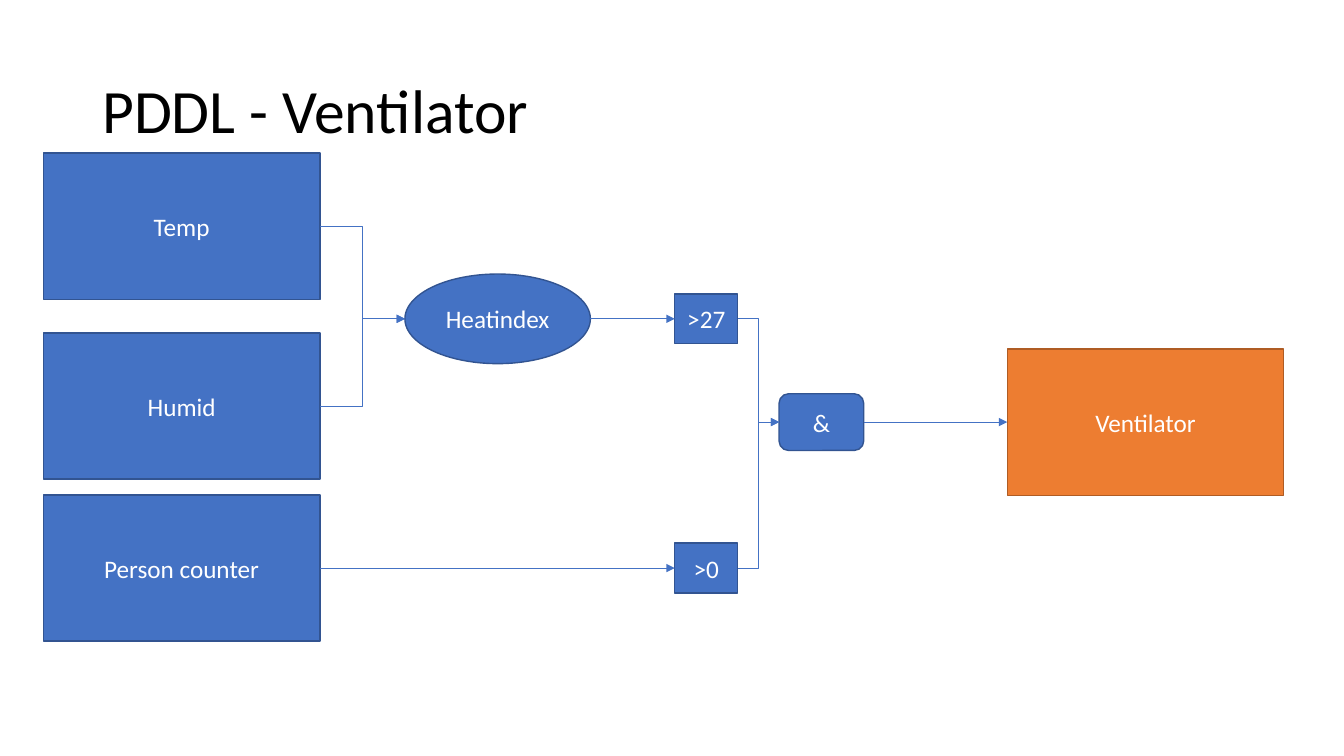
from lxml.etree import SubElement
from pptx import Presentation
from pptx.dml.color import RGBColor
from pptx.enum.shapes import MSO_CONNECTOR as Link, MSO_SHAPE as Form
from pptx.enum.text import MSO_ANCHOR as Anchor, PP_ALIGN as Align
from pptx.oxml.ns import qn
from pptx.util import Pt

BLUE, NAVY = "4472C4", "325491"
ORANGE, RUST = "ED7D31", "AF5C24"
WHITE, BLACK = "FFFFFF", "000000"
LARGE, SMALL = (197.5, 104.5), (45, 35.5)
OVAL, GATE = (132.5, 64), (60.5, 40.5)


def color(code):
    """Turn a hex string into a colour."""
    return RGBColor.from_string(code)


def write(shape, text, size=18, ink=WHITE, align=Align.CENTER, space=1.0):
    """Put formatted text into a shape, centred vertically."""
    frame = shape.text_frame
    frame.word_wrap = True
    frame.vertical_anchor = Anchor.MIDDLE
    para = frame.paragraphs[0]
    para.alignment = align
    para.line_spacing = space
    run = para.add_run()
    run.text = text
    run.font.name = "Calibri"
    run.font.size = Pt(size)
    run.font.color.rgb = color(ink)


def title(slide, text):
    """Add the slide title."""
    box = slide.shapes.add_textbox(Pt(66), Pt(28.75), Pt(828), Pt(104.5))
    write(box, text, size=44, ink=BLACK, align=Align.LEFT, space=0.9)


def node(slide, text, left, mid, size, form=Form.RECTANGLE, fill=BLUE, edge=NAVY):
    """Add a labelled node whose vertical centre is at mid."""
    width, height = size
    shape = slide.shapes.add_shape(
        form, Pt(left), Pt(mid - height / 2), Pt(width), Pt(height))
    shape.shadow.inherit = False
    shape.fill.solid()
    shape.fill.fore_color.rgb = color(fill)
    shape.line.color.rgb = color(edge)
    shape.line.width = Pt(1)
    write(shape, text)
    return shape


def arrow(slide, start, end, kind=Link.STRAIGHT):
    """Draw an arrow from the right side of one node to the left of another."""
    line = slide.shapes.add_connector(
        kind, start.left + start.width, start.top + start.height // 2,
        end.left, end.top + end.height // 2)
    line.line.color.rgb = color(BLUE)
    line.line.width = Pt(0.5)
    SubElement(line.line._get_or_add_ln(), qn("a:tailEnd"), type="triangle")
    SubElement(line._element.spPr, qn("a:effectLst"))


def main():
    """Build the ventilator rule diagram."""
    deck = Presentation()
    deck.slide_width, deck.slide_height = Pt(960), Pt(540)
    slide = deck.slides.add_slide(deck.slide_layouts[6])

    title(slide, "PDDL - Ventilator")
    temp = node(slide, "Temp", 31, 161.5, LARGE)
    humid = node(slide, "Humid", 31, 290, LARGE)
    person = node(slide, "Person counter", 31, 405.75, LARGE)
    heat = node(slide, "Heatindex", 289.25, 227.75, OVAL, form=Form.OVAL)
    warm = node(slide, ">27", 482, 227.75, SMALL)
    some = node(slide, ">0", 482, 405.75, SMALL)
    both = node(slide, "&", 556.5, 301.5, GATE, form=Form.ROUNDED_RECTANGLE)
    fan = node(slide, "Ventilator", 719.5, 301.5, LARGE, fill=ORANGE, edge=RUST)

    for start, end in (person, some), (heat, warm), (both, fan):
        arrow(slide, start, end)
    for start, end in (temp, heat), (humid, heat), (warm, both), (some, both):
        arrow(slide, start, end, kind=Link.ELBOW)

    deck.save("out.pptx")


if __name__ == "__main__":
    main()
